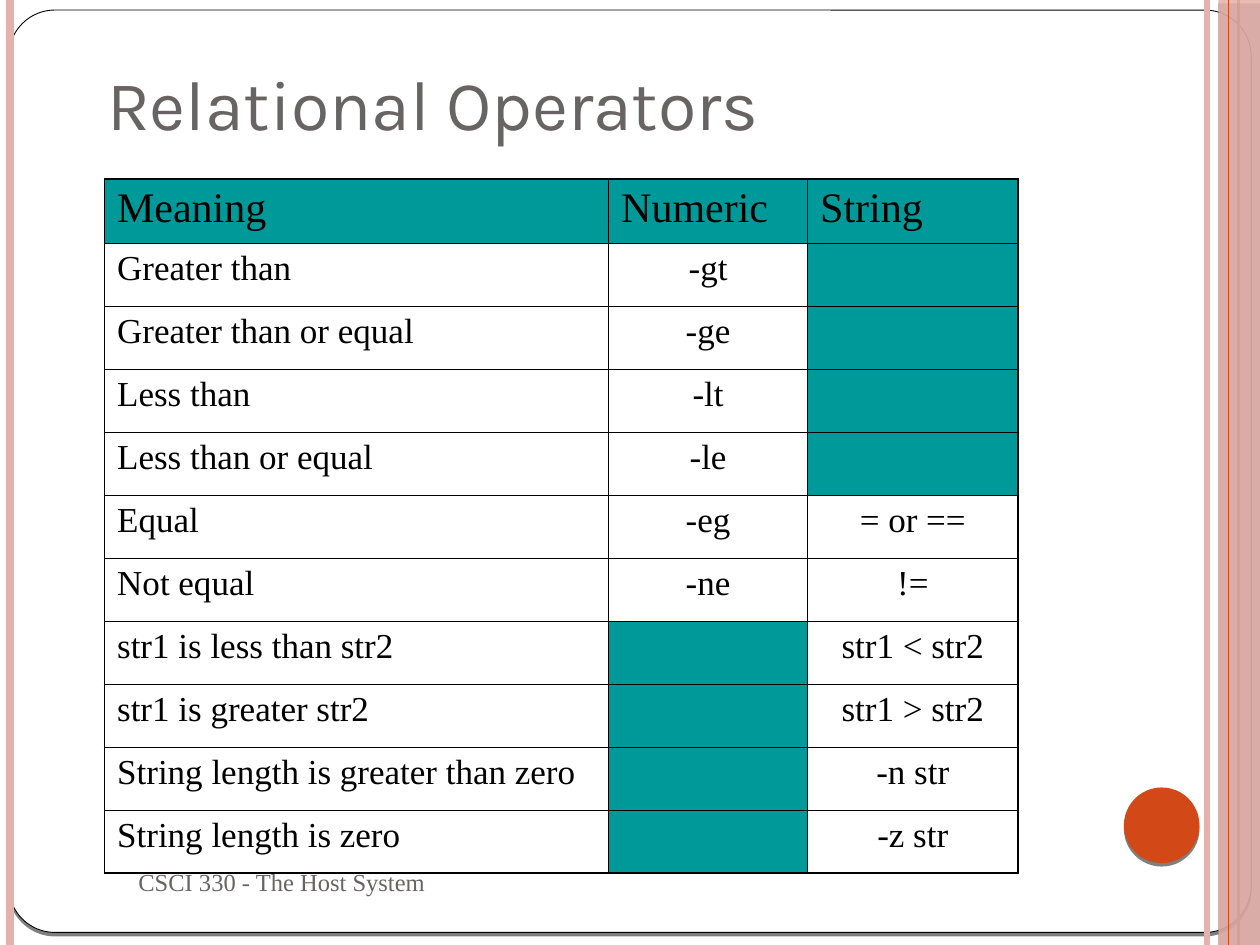
from dataclasses import dataclass

from lxml import etree
from pptx import Presentation
from pptx.dml.color import RGBColor
from pptx.enum.shapes import MSO_CONNECTOR, MSO_SHAPE
from pptx.enum.text import MSO_ANCHOR, MSO_AUTO_SIZE, PP_ALIGN
from pptx.oxml.ns import qn
from pptx.util import Inches, Pt

STRAIGHT = MSO_CONNECTOR.STRAIGHT
ROUNDED, RECTANGLE, OVAL = MSO_SHAPE.ROUNDED_RECTANGLE, MSO_SHAPE.RECTANGLE, MSO_SHAPE.OVAL
LEFT, CENTER = PP_ALIGN.LEFT, PP_ALIGN.CENTER
BOTTOM, MIDDLE = MSO_ANCHOR.BOTTOM, MSO_ANCHOR.MIDDLE
TITLE_ONLY = 5

OPERATORS = [
    ("Meaning", "Numeric", "String"),
    ("Greater than", "-gt", ""),
    ("Greater than or equal", "-ge", ""),
    ("Less than", "-lt", ""),
    ("Less than or equal", "-le", ""),
    ("Equal", "-eg", "= or =="),
    ("Not equal", "-ne", "!="),
    ("str1 is less than str2", "", "str1 < str2"),
    ("str1 is greater str2", "", "str1 > str2"),
    ("String length is greater than zero", "", "-n str"),
    ("String length is zero", "", "-z str"),
]


@dataclass(frozen=True)
class Theme:
    white: str = "FFFFFF"
    black: str = "000000"
    gray: str = "696464"
    pink: str = "E5B1AB"
    orange: str = "D34817"
    teal: str = "009999"
    title_font: str = "Karla"
    body_font: str = "Times New Roman"
    title_size: int = 40
    header_size: int = 24
    cell_size: int = 20
    footer_size: int = 14
    outer_border: float = 1.08
    inner_border: float = 0.45


def add_color(parent, color, alpha=None):
    """Append a colour element, with opacity in percent if given."""
    node = etree.SubElement(parent, qn("a:srgbClr"), val=color)
    if alpha is not None:
        etree.SubElement(node, qn("a:alpha"), val=str(alpha * 1000))


class SlideBuilder:
    def __init__(self, page, theme):
        self.page = page
        self.theme = theme

    def style_paragraph(self, para, name, size, color):
        para.font.name = name
        para.font.size = Pt(size)
        para.font.color.rgb = RGBColor.from_string(color)

    def place(self, box, left, top, width, height):
        box.left, box.top = Inches(left), Inches(top)
        box.width, box.height = Inches(width), Inches(height)

    def shape(self, kind, bounds, fill, alpha=None, line=None):
        """Add a filled shape with a hard shadow just below it."""
        shape = self.page.shapes.add_shape(kind, *map(Inches, bounds))
        shape.fill.solid()
        shape.fill.fore_color.rgb = RGBColor.from_string(fill)
        properties = shape.element.spPr
        if alpha is not None:
            color = properties.find(qn("a:solidFill")).find(qn("a:srgbClr"))
            etree.SubElement(color, qn("a:alpha"), val=str(alpha * 1000))
        if line:
            shape.line.color.rgb = RGBColor.from_string(line)
            shape.line.width = Pt(0.5)
        else:
            shape.line.fill.background()
        shape.shadow.inherit = False
        shadow = etree.SubElement(
            properties.find(qn("a:effectLst")), qn("a:outerShdw"),
            blurRad="0", dist=str(Pt(2)), dir="5400000", rotWithShape="0")
        add_color(shadow, self.theme.black, 50)
        return shape

    def vertical_line(self, x, color, width):
        line = self.page.shapes.add_connector(
            STRAIGHT, Inches(x), 0, Inches(x), Inches(7.5))
        line.line.color.rgb = RGBColor.from_string(color)
        line.line.width = Pt(width)
        etree.SubElement(line.element.spPr, qn("a:effectLst"))

    def title(self, text, bounds):
        title = self.page.shapes.title
        self.page.shapes.element.append(title.element)  # bring to the front
        self.place(title, *bounds)
        frame = title.text_frame
        frame.text = text
        frame.word_wrap = True
        frame.auto_size = MSO_AUTO_SIZE.NONE
        frame.vertical_anchor = BOTTOM
        frame.margin_bottom = Inches(0.1)
        para = frame.paragraphs[0]
        para.alignment = LEFT
        self.style_paragraph(para, self.theme.title_font,
                             self.theme.title_size, self.theme.gray)

    def footer(self, text, bounds):
        frame = self.page.shapes.add_textbox(*map(Inches, bounds)).text_frame
        frame.text = text
        frame.word_wrap = True
        frame.vertical_anchor = MIDDLE
        self.style_paragraph(frame.paragraphs[0], self.theme.body_font,
                             self.theme.footer_size, self.theme.gray)

    def cell_borders(self, cell, outer_sides):
        properties = cell._tc.get_or_add_tcPr()
        for side in "LRTB":
            width = self.theme.outer_border if side in outer_sides else self.theme.inner_border
            line = etree.SubElement(properties, qn(f"a:ln{side}"), w=str(Pt(width)))
            add_color(etree.SubElement(line, qn("a:solidFill")), self.theme.black)

    def table(self, rows, bounds, widths, header_height, row_height):
        """Add a grid whose header and empty cells are teal."""
        theme = self.theme
        table = self.page.shapes.add_table(
            len(rows), len(widths), *map(Inches, bounds)).table
        table.first_row = table.horz_banding = False
        for column, width in zip(table.columns, widths):
            column.width = Inches(width)
        for r, texts in enumerate(rows):
            header = r == 0
            table.rows[r].height = Inches(header_height if header else row_height)
            for c, text in enumerate(texts):
                cell = table.cell(r, c)
                edges = {"L": c == 0, "R": c == len(widths) - 1,
                         "T": header, "B": r == len(rows) - 1}
                self.cell_borders(cell, [side for side, outer in edges.items() if outer])
                if header or not text:
                    cell.fill.solid()
                    cell.fill.fore_color.rgb = RGBColor.from_string(theme.teal)
                else:
                    cell.fill.background()
                cell.text = text
                para = cell.text_frame.paragraphs[0]
                para.alignment = LEFT if header or c == 0 else CENTER
                self.style_paragraph(para, theme.body_font,
                                     theme.header_size if header else theme.cell_size,
                                     theme.black)


def main():
    deck = Presentation()
    deck.slide_width, deck.slide_height = Inches(10), Inches(7.5)
    theme = Theme()
    builder = SlideBuilder(deck.slides.add_slide(deck.slide_layouts[TITLE_ONLY]), theme)

    frame = builder.shape(ROUNDED, (0.07, 0.08, 9.86, 7.32), theme.white, line=theme.black)
    frame.adjustments[0] = 0.05
    builder.vertical_line(9.58, theme.pink, 3)
    builder.vertical_line(0.08, theme.pink, 4.5)
    builder.vertical_line(9.83, theme.orange, 1.5)
    builder.shape(RECTANGLE, (9.67, 0, 0.33, 7.5), theme.pink, alpha=87)
    builder.vertical_line(9.75, theme.orange, 0.75)
    builder.shape(OVAL, (8.92, 6.25, 0.6, 0.6), theme.orange)

    builder.title("Relational Operators", (0.75, 0.33, 8.5, 0.92))
    builder.table(OPERATORS, (0.83, 1.42, 7.25, 5.5), (4, 1.58, 1.67), 0.51, 0.5)
    builder.footer("CSCI 330 - The Host System", (1, 6.75, 4.33, 0.5))

    deck.save("out.pptx")


if __name__ == "__main__":
    main()
